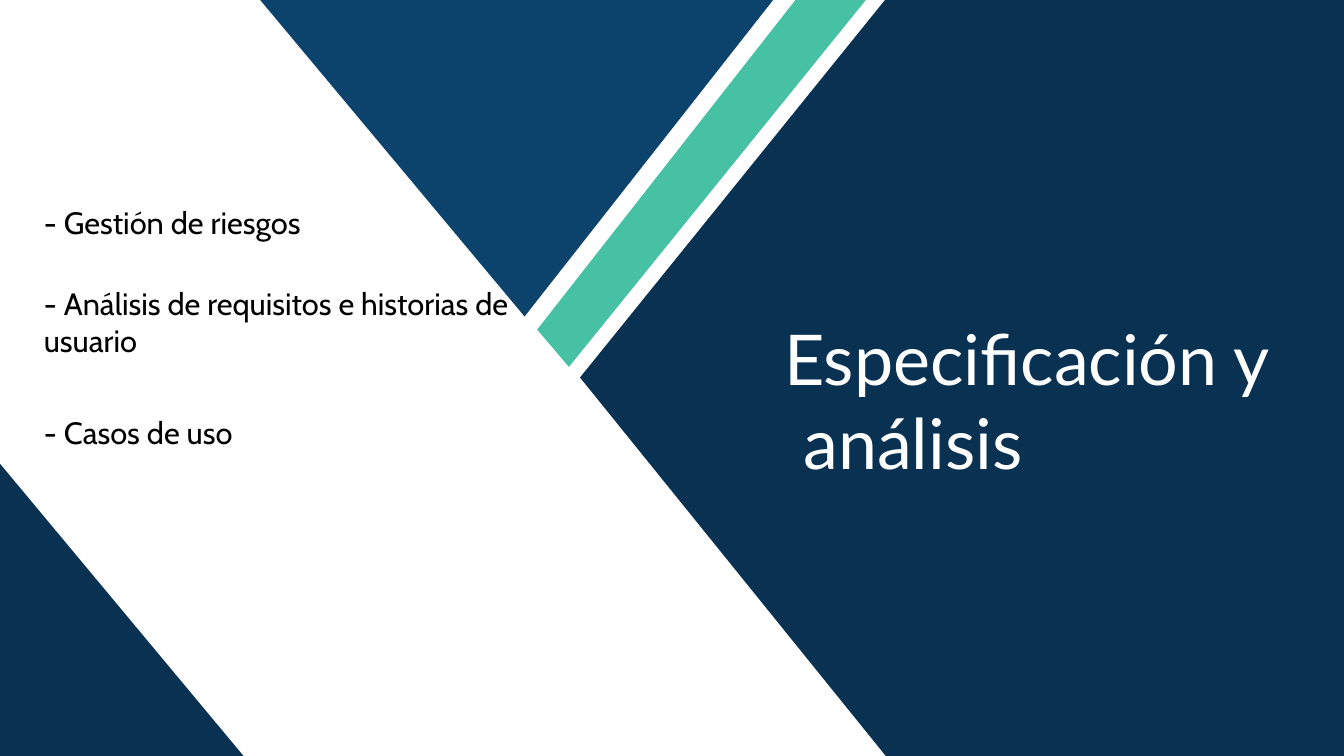
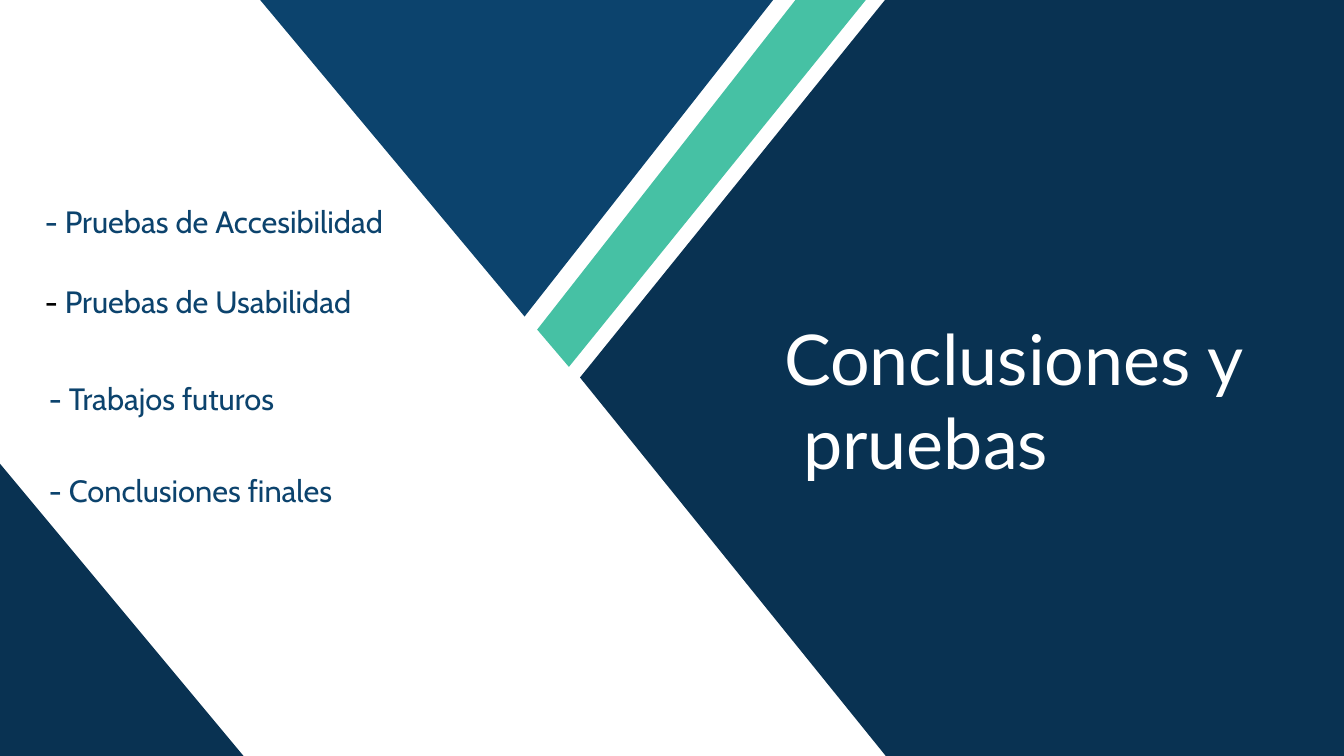
from pptx import Presentation
from pptx.dml.color import RGBColor
from pptx.enum.shapes import MSO_SHAPE
from pptx.enum.text import MSO_ANCHOR, MSO_AUTO_SIZE, PP_ALIGN
from pptx.util import Inches, Pt

NAVY = RGBColor(0x09, 0x32, 0x52)
BLUE = RGBColor(0x0C, 0x43, 0x6D)
GREEN = RGBColor(0x46, 0xC1, 0xA4)
WHITE = RGBColor(0xFF, 0xFF, 0xFF)
BLACK = RGBColor(0, 0, 0)

TITLE_FONT = {"name": "Lato", "size": Pt(100)}
ITEM_FONT = {"name": "Cabin", "size": Pt(44)}
TITLE_ONLY = 5

TOP_TRIANGLE = [(5.08, -0.1), (15.42, -0.1), (10.41, 6.28)]
CORNER_TRIANGLE = [(-0.05, 9.14), (4.95, 15.14), (-0.05, 15.16)]
GREEN_BAND = [(10.66, 6.54), (11.29, 7.28), (17.36, -0.22), (15.95, -0.21)]

# Each section: title, then items as (left, top, [(text, colour), ...])
SECTIONS = [
    ("Especificación y análisis", [
        (0.81, 3.73, [("- Gestión de riesgos", BLACK)]),
        (0.81, 5.72, [("- Análisis de requisitos e historias de usuario", BLACK)]),
        (0.81, 7.91, [("- Casos de uso", BLACK)]),
    ]),
    ("Conclusiones y pruebas", [
        (0.83, 3.72, [("- Pruebas de Accesibilidad", BLUE)]),
        (0.83, 5.3, [("- ", BLACK), ("Pruebas de Usabilidad", BLUE)]),
        (0.91, 7.23, [("- Trabajos futuros", BLUE)]),
        (0.91, 9.05, [("- Conclusiones finales", BLUE)]),
    ]),
]


def paint(shape, color):
    shape.shadow.inherit = False
    shape.fill.solid()
    shape.fill.fore_color.rgb = color
    shape.line.fill.background()


def add_polygon(slide, points, color):
    corners = [(Inches(x), Inches(y)) for x, y in points]
    builder = slide.shapes.build_freeform(*corners[0], scale=1.0)
    builder.add_line_segments(corners[1:], close=True)
    shape = builder.convert_to_shape()
    paint(shape, color)
    return shape


def add_left_pointing_panel(slide):
    panel = slide.shapes.add_shape(MSO_SHAPE.RIGHT_ARROW, Inches(11.51), Inches(-0.03),
                                   Inches(15.31), Inches(15.04))
    panel.adjustments[0] = 1
    panel.adjustments[1] = 0.404
    panel.element.spPr.xfrm.set("flipH", "1")
    paint(panel, NAVY)
    return panel


def decorate_layout(layout, slide):
    """Draw the shared background on a slide and move it to the back of its layout."""
    background = [
        add_left_pointing_panel(slide),
        add_polygon(slide, TOP_TRIANGLE, BLUE),
        add_polygon(slide, CORNER_TRIANGLE, NAVY),
        add_polygon(slide, GREEN_BAND, GREEN),
    ]
    for index, shape in enumerate(background):
        shape.element.nvSpPr.cNvPr.set("id", str(100 + index))
        layout.shapes.element.insert(2 + index, shape.element)


def add_run(paragraph, text, color, font_format):
    run = paragraph.add_run()
    run.text = text
    run.font.color.rgb = color
    for name, value in font_format.items():
        setattr(run.font, name, value)


def set_title(slide, text):
    title = slide.shapes.title
    title.left, title.top = Inches(15.46), Inches(5.93)
    title.width, title.height = Inches(11.21), Inches(3.98)
    frame = title.text_frame
    frame.auto_size = MSO_AUTO_SIZE.NONE
    frame.vertical_anchor = MSO_ANCHOR.MIDDLE
    paragraph = frame.paragraphs[0]
    paragraph.alignment = PP_ALIGN.LEFT
    properties = paragraph._p.get_or_add_pPr()
    properties.set("marL", str(Inches(0.38)))
    properties.set("indent", str(Inches(-0.38)))
    add_run(paragraph, text, WHITE, TITLE_FONT)


def add_item(slide, left, top, runs):
    box = slide.shapes.add_textbox(Inches(left), Inches(top), Inches(10.32), Inches(1.34))
    frame = box.text_frame
    frame.word_wrap = True
    frame.vertical_anchor = MSO_ANCHOR.MIDDLE
    for side in ("left", "top", "right", "bottom"):
        setattr(frame, f"margin_{side}", Inches(0.06))
    for text, color in runs:
        add_run(frame.paragraphs[0], text, color, ITEM_FONT)


def main():
    presentation = Presentation()
    presentation.slide_width = Inches(26.67)
    presentation.slide_height = Inches(15)
    layout = presentation.slide_layouts[TITLE_ONLY]
    slides = [presentation.slides.add_slide(layout) for _ in SECTIONS]
    decorate_layout(layout, slides[0])
    for slide, (title, items) in zip(slides, SECTIONS):
        set_title(slide, title)
        for left, top, runs in items:
            add_item(slide, left, top, runs)
    presentation.save("out.pptx")


if __name__ == "__main__":
    main()
